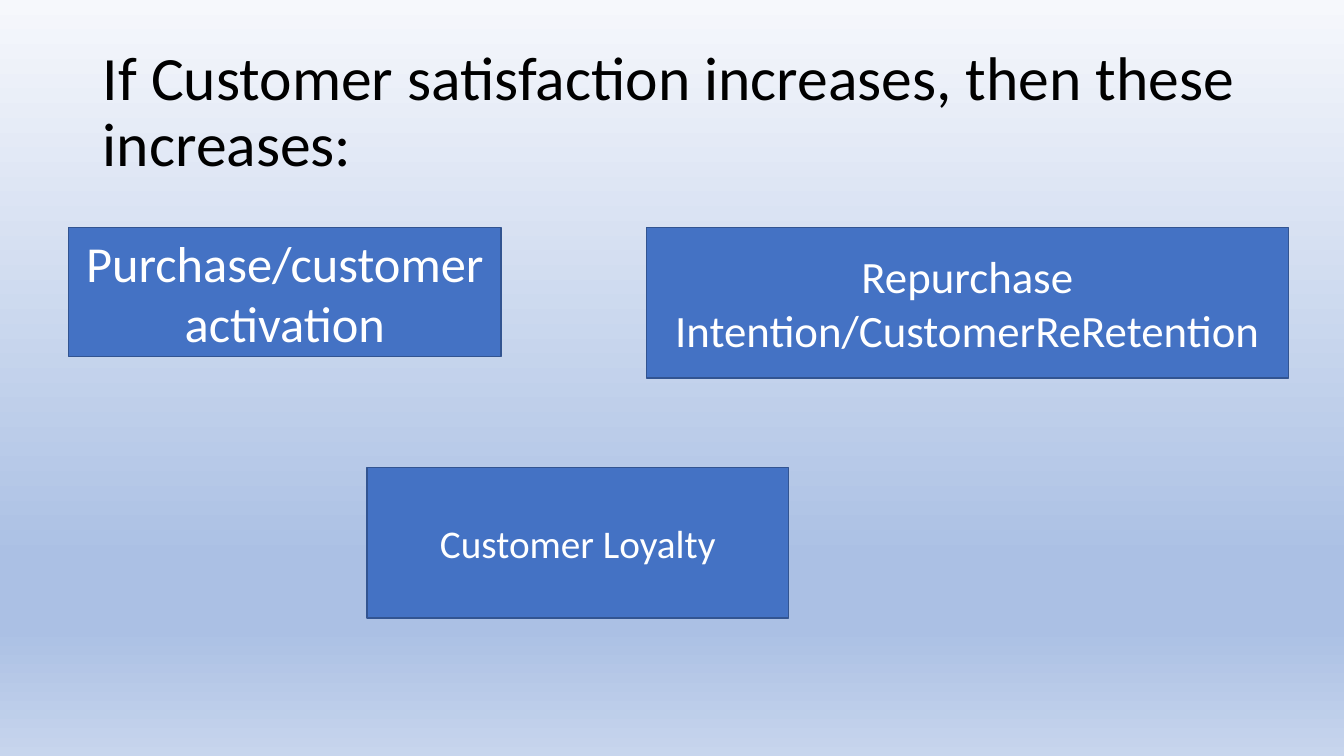
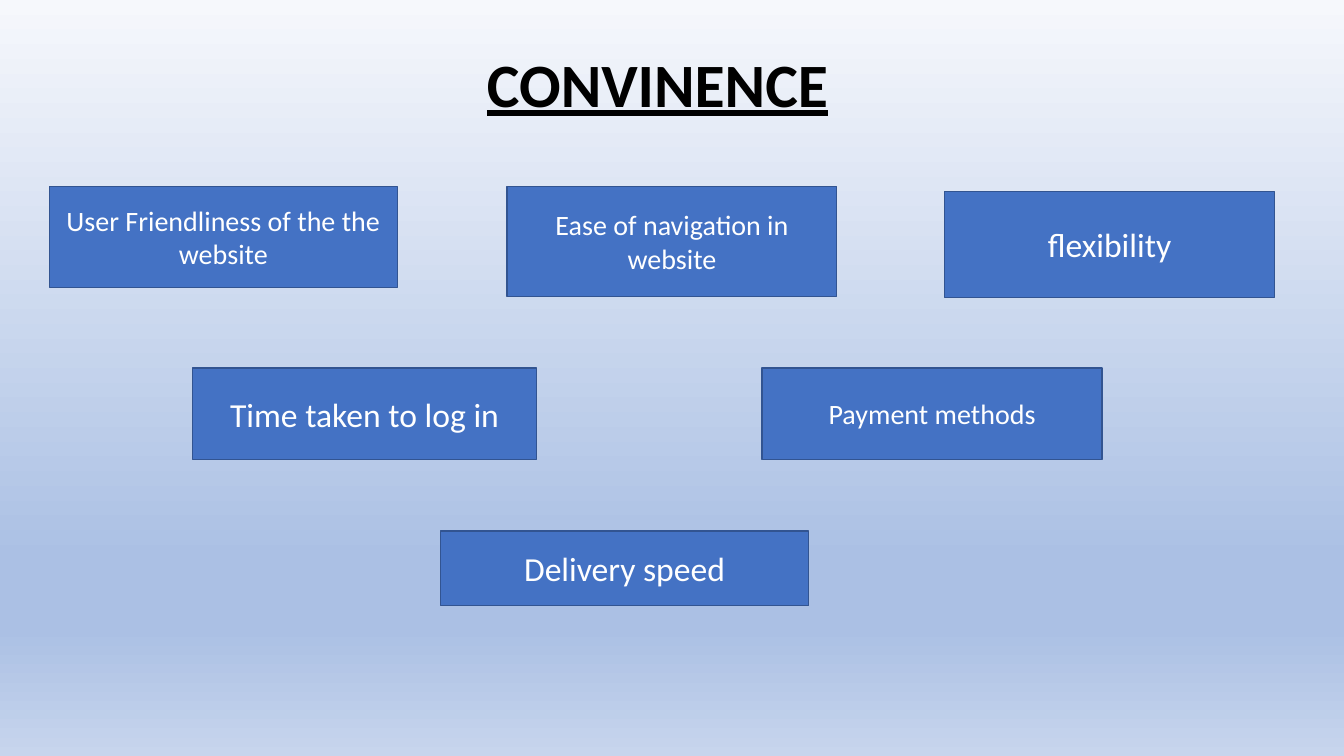
from copy import deepcopy
from dataclasses import dataclass

from pptx import Presentation
from pptx import util as u
from pptx.dml import color
from pptx.enum import shapes, text
from pptx.oxml import ns


@dataclass(frozen=True)
class Theme:
    """Colours, fonts and type sizes used across the deck."""
    font: str = "Calibri"
    ink: str = "000000"
    paper: str = "FFFFFF"
    box_fill: str = "4472C4"
    box_line: str = "325491"
    line_width: float = 1
    title: int = 44
    huge: int = 36
    large: int = 32
    medium: int = 28
    normal: int = 24
    small: int = 20
    backdrop: tuple = ((0, "F6F8FC"), (0.74, "ABC0E4"), (0.83, "ABC0E4"), (1, "C7D5ED"))


class SlideBuilder:
    """Holds the theme and the slide being filled."""

    def __init__(self, theme):
        self.theme = theme
        self.slide = None
        self.deck = Presentation()
        self.deck.slide_width = u.Inches(13.33)
        self.deck.slide_height = u.Inches(7.5)
        self.paint_backdrop()

    def paint_backdrop(self):
        """Put the vertical gradient on the slide master."""
        master = self.deck.slide_master
        fill = master.background.fill
        fill.gradient()
        fill.gradient_angle = 270
        stop_list = master.element.find(".//" + ns.qn("a:gsLst"))
        while len(stop_list) < len(self.theme.backdrop):
            stop_list.append(deepcopy(stop_list[0]))
        for stop, (position, shade) in zip(fill.gradient_stops, self.theme.backdrop):
            stop.position = position
            stop.color.rgb = color.RGBColor.from_string(shade)

    def label(self, shape, words, align, shade, **font_values):
        """Put one paragraph of formatted text into a shape."""
        frame = shape.text_frame
        frame.word_wrap = True
        frame.auto_size = text.MSO_AUTO_SIZE.NONE
        frame.vertical_anchor = text.MSO_ANCHOR.MIDDLE
        para = frame.paragraphs[0]
        para.alignment = align
        span = para.add_run()
        span.text = words
        span.font.color.rgb = color.RGBColor.from_string(shade)
        for name, value in {"name": self.theme.font, **font_values}.items():
            setattr(span.font, name, value)
        return para

    def page(self, words, place, **font_values):
        """Start a slide with its title."""
        self.slide = self.deck.slides.add_slide(self.deck.slide_layouts[5])
        title = self.slide.shapes.title
        for name, value in zip(("left", "top", "width", "height"), place):
            setattr(title, name, u.Inches(value))
        para = self.label(title, words, text.PP_ALIGN.LEFT, self.theme.ink,
                          size=u.Pt(self.theme.title), **font_values)
        para.line_spacing = 0.9

    def box(self, words, place, size):
        """Add a filled rectangle with a centred label."""
        box = self.slide.shapes.add_shape(
            shapes.MSO_SHAPE.RECTANGLE, *(u.Inches(value) for value in place))
        box.shadow.inherit = False
        box.fill.solid()
        box.fill.fore_color.rgb = color.RGBColor.from_string(self.theme.box_fill)
        box.line.color.rgb = color.RGBColor.from_string(self.theme.box_line)
        box.line.width = u.Pt(self.theme.line_width)
        self.label(box, words, text.PP_ALIGN.CENTER, self.theme.paper, size=u.Pt(size))

    def boxes(self, rows):
        """Add a series of labelled rectangles."""
        for row in rows:
            self.box(*row)


def main():
    """Build and save the deck."""
    theme = Theme()
    builder = SlideBuilder(theme)

    builder.page("If Customer satisfaction increases, then these increases:",
                 (0.92, 0.4, 11.5, 1.45))
    builder.boxes((
        ("Purchase/customer activation", (0.68, 2.26, 4.29, 1.28), theme.huge),
        ("Repurchase Intention/CustomerReRetention", (6.41, 2.26, 6.37, 1.49), theme.large),
        ("Customer Loyalty", (3.64, 4.64, 4.18, 1.49), theme.medium),
    ))

    builder.page("CONVINENCE", (4.73, 0.14, 3.66, 1.45), bold=True, underline=True)
    builder.boxes((
        ("Time taken to log in", (1.91, 3.65, 3.41, 0.91), theme.normal),
        ("User Friendliness of the the website", (0.49, 1.85, 3.45, 1), theme.small),
        ("Ease of navigation in website", (5.03, 1.85, 3.27, 1.09), theme.small),
        ("flexibility", (9.37, 1.9, 3.27, 1.05), theme.normal),
        ("Payment methods", (7.56, 3.65, 3.37, 0.91), theme.small),
        ("Delivery speed", (4.37, 5.27, 3.65, 0.74), theme.normal),
    ))

    builder.deck.save("out.pptx")


if __name__ == "__main__":
    main()
